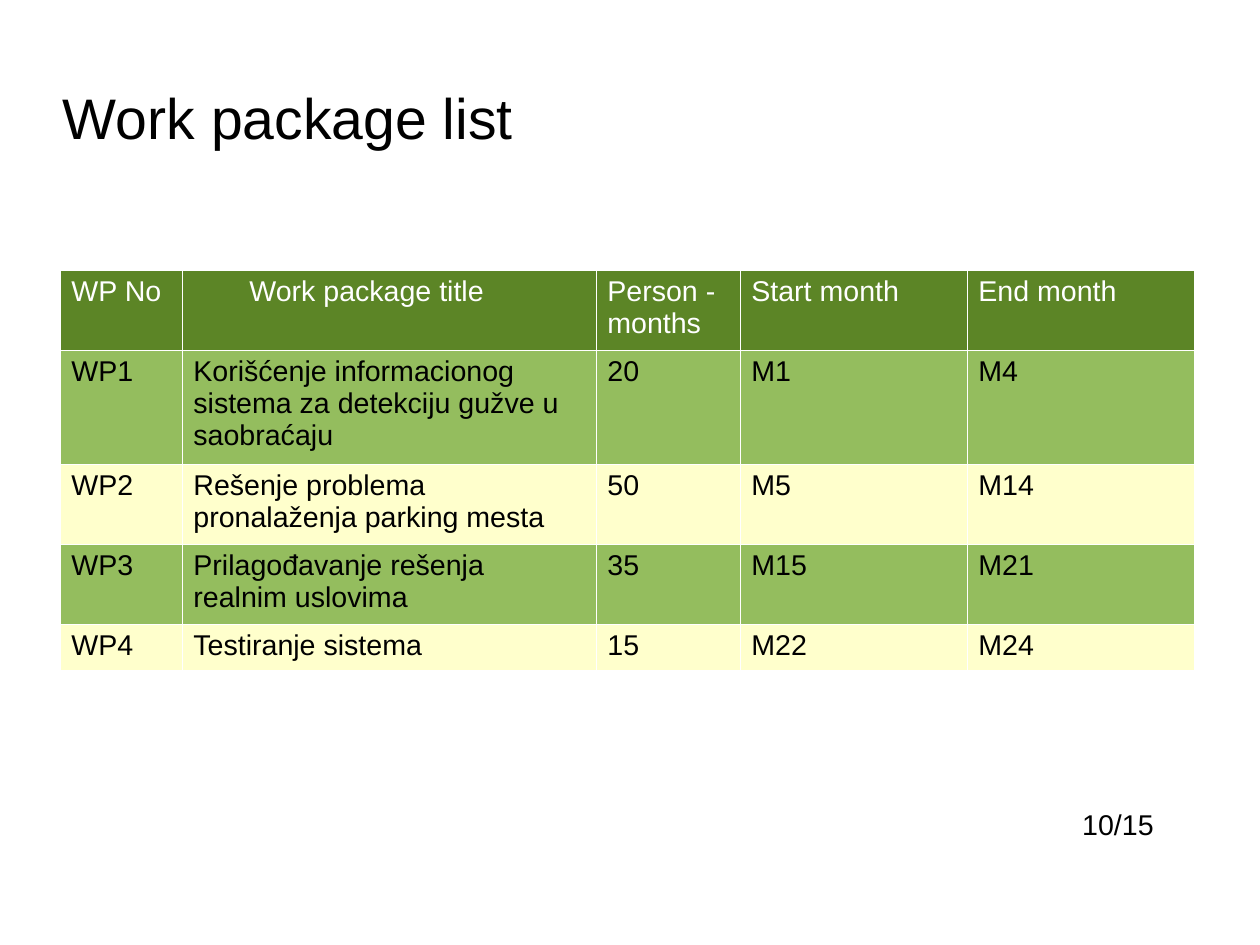
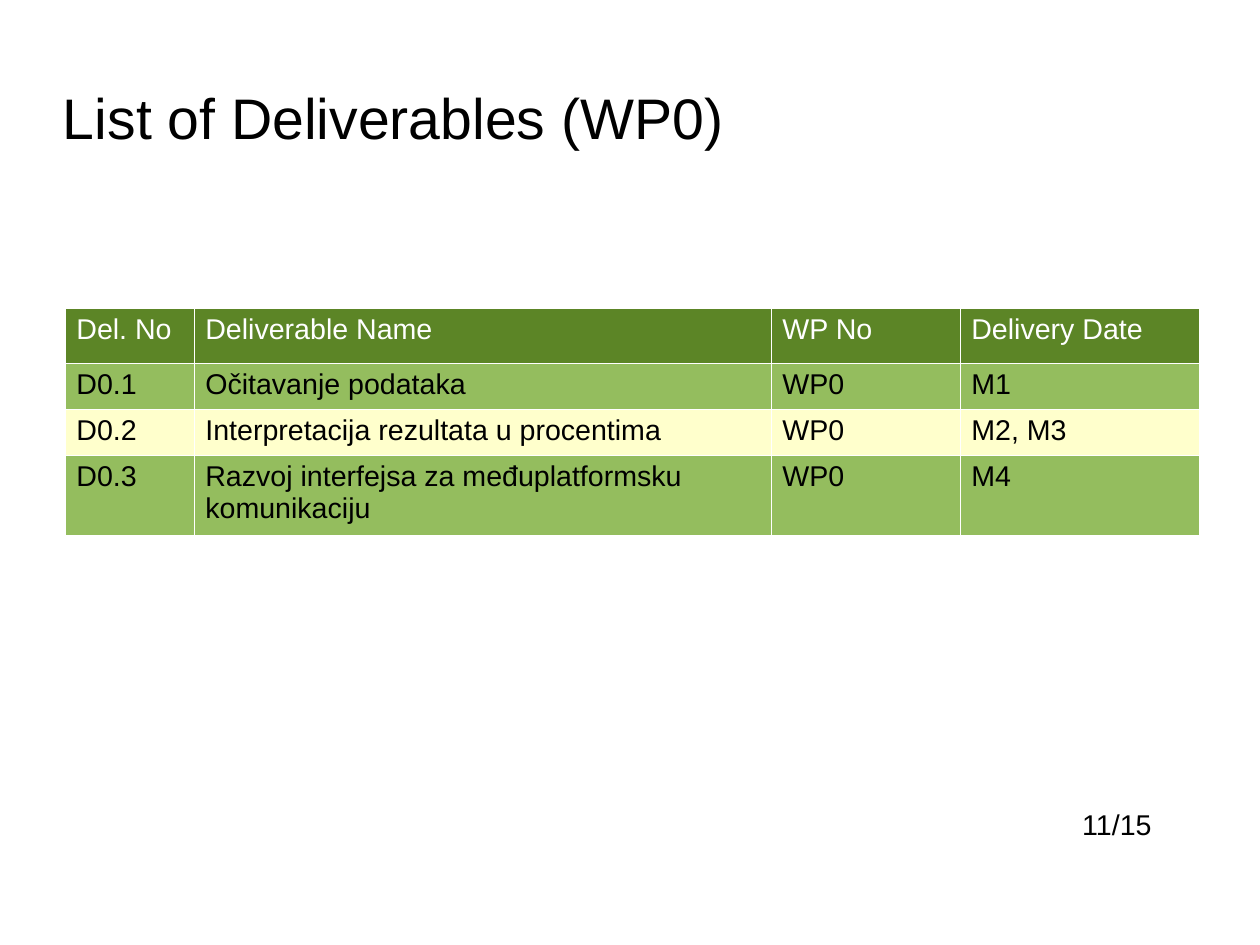
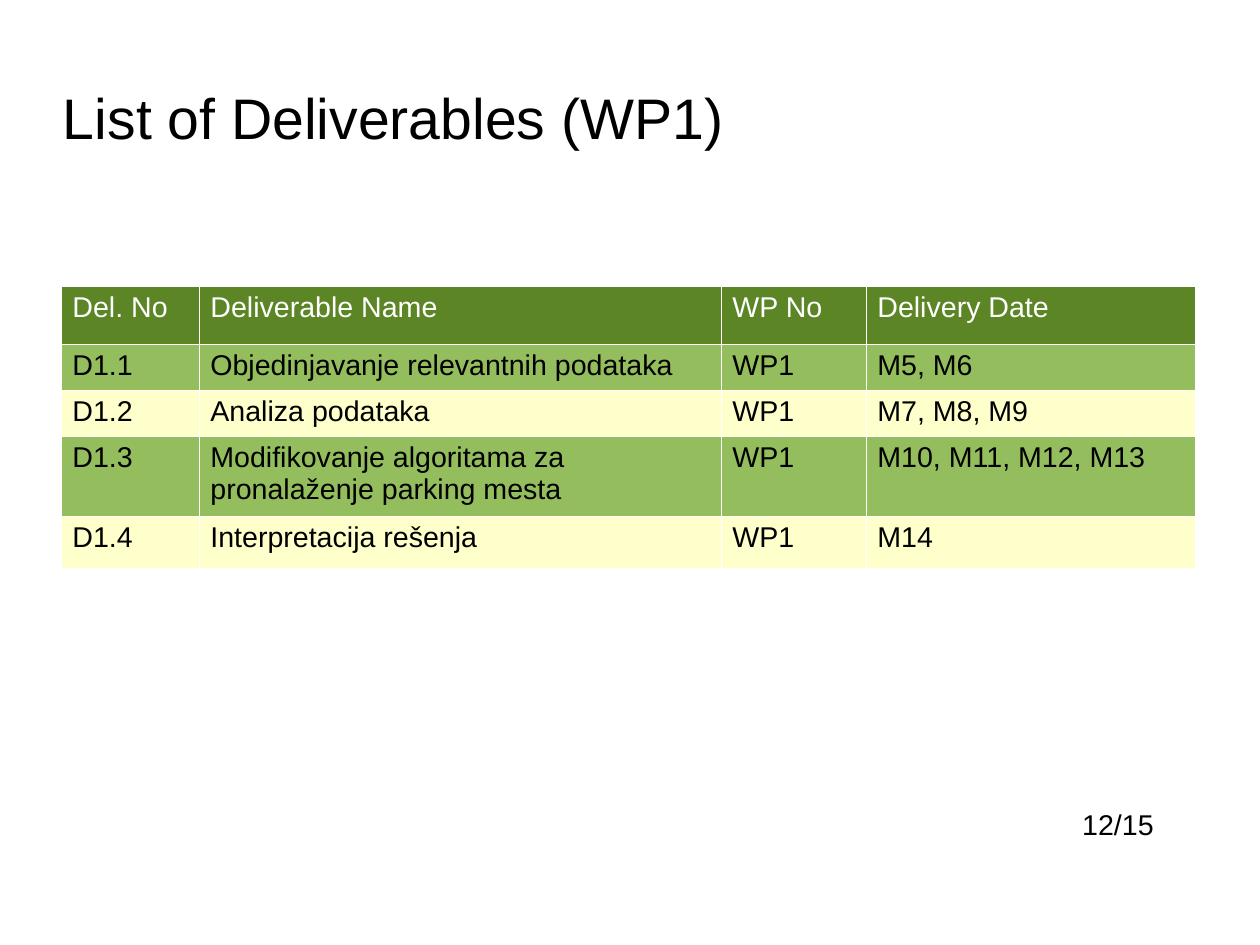
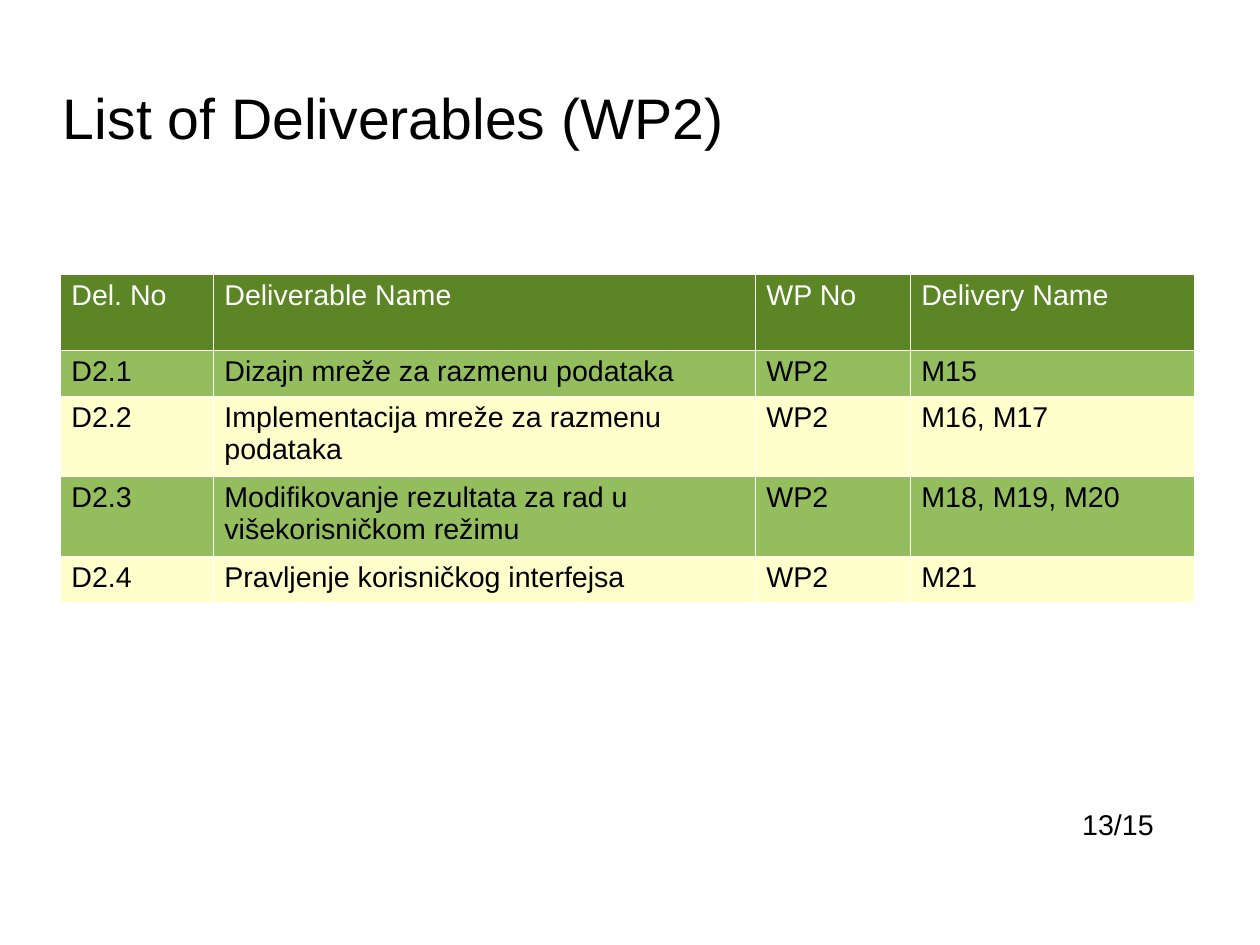
from lxml import etree
from pptx import Presentation
from pptx import util as u
from pptx.dml.color import RGBColor
from pptx.enum import text as t
from pptx.oxml import ns

EMU_PER_PX = 8000
FONT = "Arial"
BLACK, WHITE = "000000", "FFFFFF"
HEADER_FILL = "5C8526"
BAND_FILLS = ("94BD5E", "FFFFCC")
BORDER_EMU = 762

SLIDE_SIZE = (1260, 945)
TITLE_BOX = (63, 72, 900, 90)
PAGE_BOX = (1071, 801, 97, 62)
FIRST_PAGE, PAGE_TOTAL = 10, 15

DELIVERABLE_HEADER = ("Del. No", "Deliverable Name", "WP No", "Delivery Date")

PAGES = [
    {
        "title": "Work package list",
        "origin": (60, 270),
        "columns": (122, 414, 144, 227, 227),
        "heights": (80, 114, 80, 80, 46),
        "header_indents": {1: 56},
        "rows": [
            ("WP No", "Work package title", "Person - months", "Start month", "End month"),
            ("WP1", "Korišćenje informacionog sistema za detekciju gužve u saobraćaju", "20", "M1", "M4"),
            ("WP2", "Rešenje problema pronalaženja parking mesta", "50", "M5", "M14"),
            ("WP3", "Prilagođavanje rešenja realnim uslovima", "35", "M15", "M21"),
            ("WP4", "Testiranje sistema", "15", "M22", "M24"),
        ],
    },
    {
        "title": "List of Deliverables (WP0)",
        "origin": (65, 308),
        "columns": (129, 577, 189, 239),
        "heights": (55, 46, 46, 80),
        "rows": [
            DELIVERABLE_HEADER,
            ("D0.1", "Očitavanje podataka", "WP0", "M1"),
            ("D0.2", "Interpretacija rezultata u procentima", "WP0", "M2, M3"),
            ("D0.3", "Razvoj interfejsa za međuplatformsku komunikaciju", "WP0", "M4"),
        ],
    },
    {
        "title": "List of Deliverables (WP1)",
        "origin": (61, 286),
        "columns": (138, 522, 145, 329),
        "heights": (58, 46, 46, 80, 52),
        "rows": [
            DELIVERABLE_HEADER,
            ("D1.1", "Objedinjavanje relevantnih podataka", "WP1", "M5, M6"),
            ("D1.2", "Analiza podataka", "WP1", "M7, M8, M9"),
            ("D1.3", "Modifikovanje algoritama za pronalaženje parking mesta", "WP1", "M10, M11, M12, M13"),
            ("D1.4", "Interpretacija rešenja", "WP1", "M14"),
        ],
    },
    {
        "title": "List of Deliverables (WP2)",
        "origin": (60, 274),
        "columns": (153, 542, 155, 284),
        "heights": (76, 46, 80, 80, 46),
        "rows": [
            DELIVERABLE_HEADER[:3] + ("Delivery Name",),
            ("D2.1", "Dizajn mreže za razmenu podataka", "WP2", "M15"),
            ("D2.2", "Implementacija mreže za razmenu podataka", "WP2", "M16, M17"),
            ("D2.3", "Modifikovanje rezultata za rad u višekorisničkom režimu", "WP2", "M18, M19, M20"),
            ("D2.4", "Pravljenje korisničkog interfejsa", "WP2", "M21"),
        ],
    },
]


def px(length):
    return u.Emu(length * EMU_PER_PX)


def color(value):
    return RGBColor.from_string(value)


def write(frame, content, size=18, fill=BLACK, indent=0):
    paragraph = frame.paragraphs[0]
    paragraph.alignment = t.PP_ALIGN.LEFT
    if indent:
        paragraph._p.get_or_add_pPr().set("marL", str(px(indent)))
    run = paragraph.add_run()
    run.text = content
    run.font.name = FONT
    run.font.size = u.Pt(size)
    run.font.color.rgb = color(fill)


def add_borders(cell):
    properties = cell._tc.get_or_add_tcPr()
    for side in ("a:lnL", "a:lnR", "a:lnT", "a:lnB"):
        line = etree.SubElement(properties, ns.qn(side), w=str(BORDER_EMU))
        solid = etree.SubElement(line, ns.qn("a:solidFill"))
        etree.SubElement(solid, ns.qn("a:srgbClr"), val=WHITE)


def add_title(slide, content):
    title = slide.shapes.title
    title.left, title.top, title.width, title.height = map(px, TITLE_BOX)
    frame = title.text_frame
    frame.margin_left = frame.margin_right = frame.margin_top = frame.margin_bottom = 0
    frame.vertical_anchor = t.MSO_ANCHOR.MIDDLE
    frame.auto_size = t.MSO_AUTO_SIZE.NONE
    write(frame, content, size=36)


def add_table(slide, page):
    rows, columns, heights = page["rows"], page["columns"], page["heights"]
    box = (*page["origin"], sum(columns), sum(heights))
    table = slide.shapes.add_table(len(rows), len(columns), *map(px, box)).table
    for column, width in zip(table.columns, columns):
        column.width = px(width)
    for index, (row, height, values) in enumerate(zip(table.rows, heights, rows)):
        row.height = px(height)
        is_header = index == 0
        indents = page.get("header_indents", {}) if is_header else {}
        for position, (cell, value) in enumerate(zip(row.cells, values)):
            add_borders(cell)
            cell.fill.solid()
            cell.fill.fore_color.rgb = color(HEADER_FILL if is_header else BAND_FILLS[(index - 1) % 2])
            write(cell.text_frame, value, fill=WHITE if is_header else BLACK, indent=indents.get(position, 0))


def add_page_number(slide, number):
    frame = slide.shapes.add_textbox(*map(px, PAGE_BOX)).text_frame
    frame.word_wrap = False
    write(frame, f"{number}/{PAGE_TOTAL}")


def main():
    presentation = Presentation()
    presentation.slide_width, presentation.slide_height = map(px, SLIDE_SIZE)
    title_only = presentation.slide_layouts.get_by_name("Title Only")
    for number, page in enumerate(PAGES, FIRST_PAGE):
        slide = presentation.slides.add_slide(title_only)
        add_title(slide, page["title"])
        add_table(slide, page)
        add_page_number(slide, number)
    presentation.save("out.pptx")


if __name__ == "__main__":
    main()
